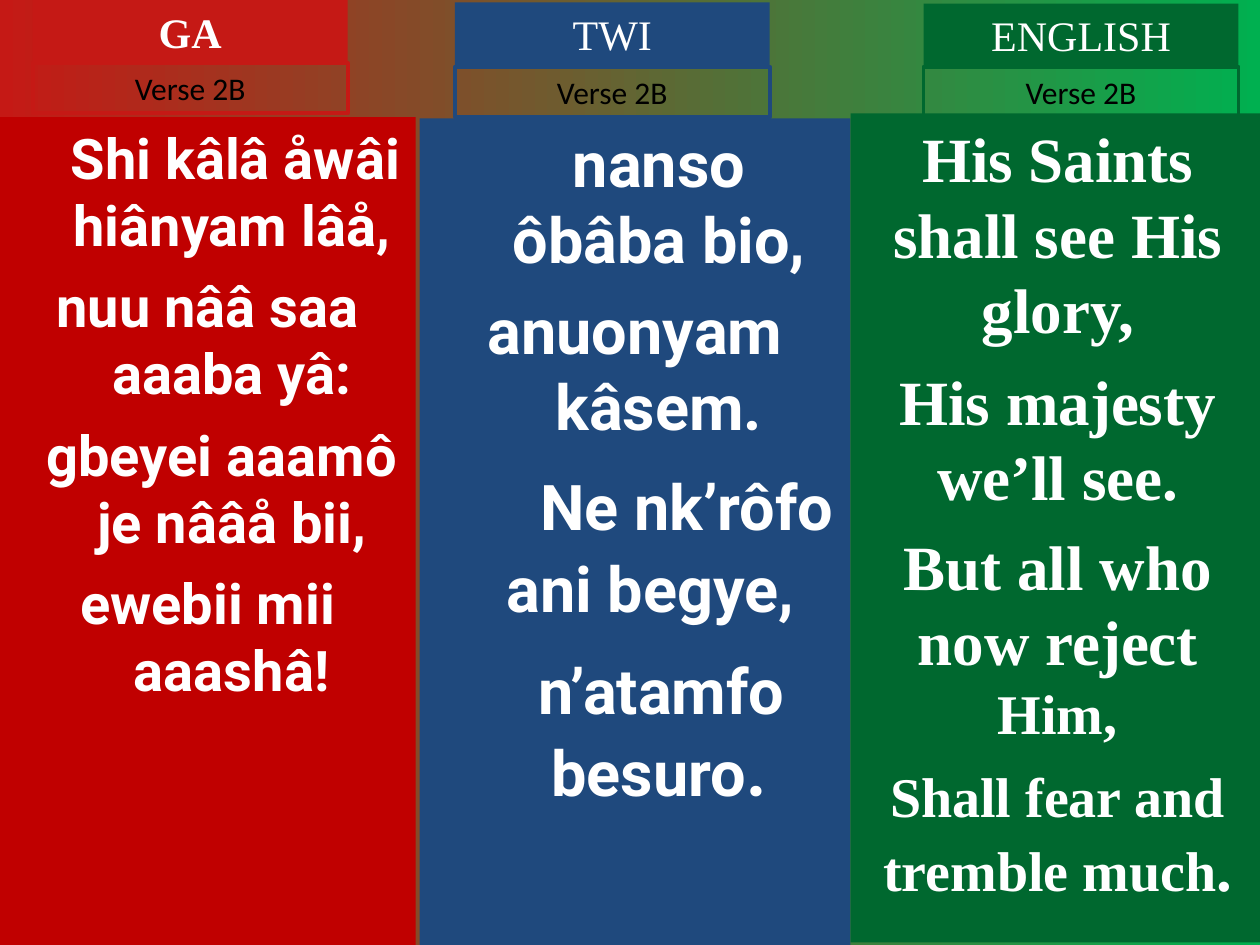
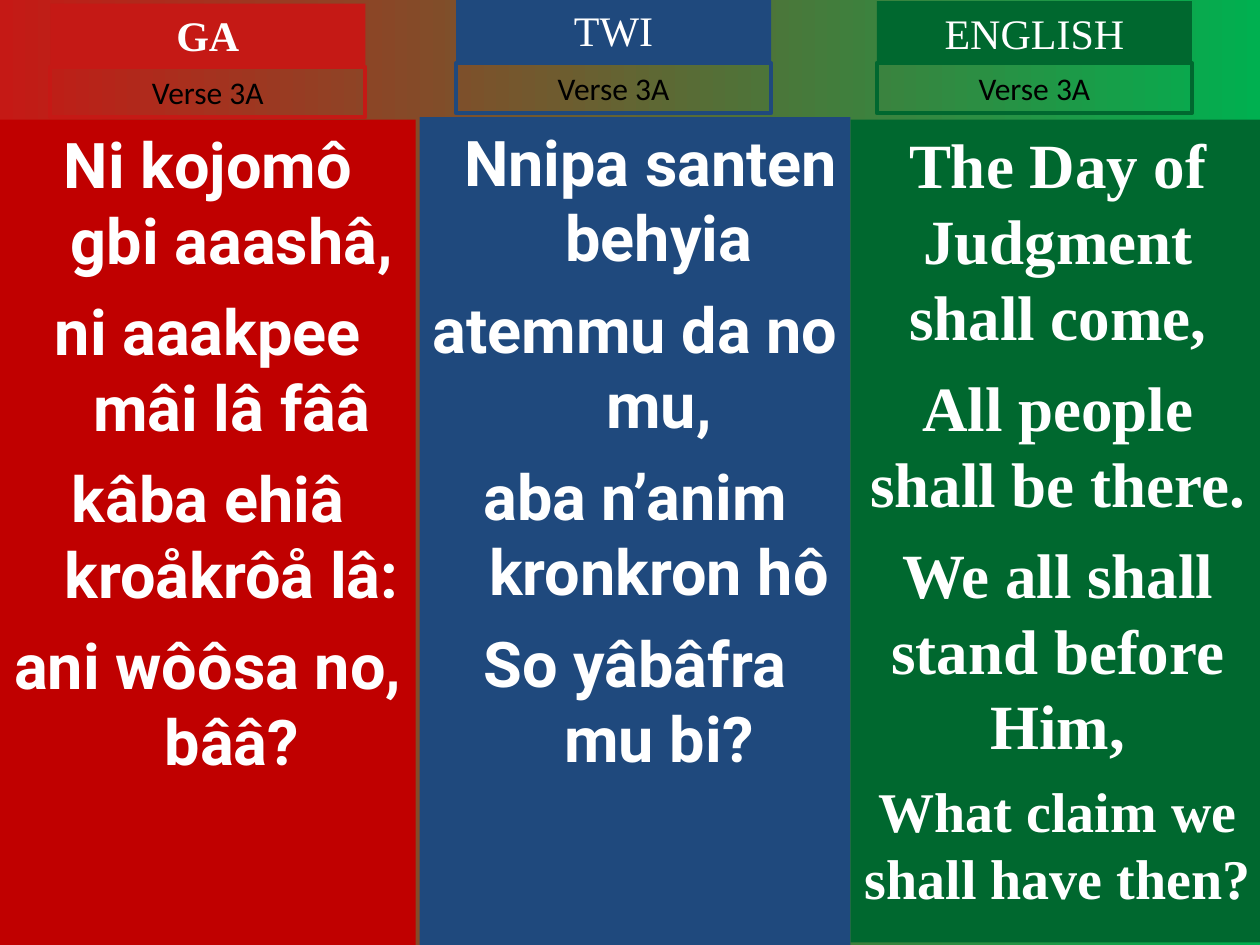
from pptx import Presentation
from pptx.dml.color import RGBColor
from pptx.enum.shapes import MSO_SHAPE
from pptx.enum.text import MSO_ANCHOR, PP_ALIGN
from pptx.util import Inches, Pt

# Shared look
WHITE, BLACK = "FFFFFF", "000000"
SERIF, SANS, LABEL = "Times New Roman", "Roboto", "Calibri"
HANGING = 0.38

# Language, body colour, header colour, left, width, font, margin
COLUMNS = [
    ("GA", "C00000", "C51915", 0, 3.3, SANS, HANGING),
    ("TWI", "1F497D", "1F497D", 3.33, 3.42, SANS, HANGING),
    ("ENGLISH", "00682F", "00682F", 6.75, 3.29, SERIF, 0),
]

# Each verse: name, then per column the header left, header top, label top,
# body top, body height and lines.
# Each line: space before, first-line indent, runs of text and size.
VERSES = [
    ("Verse 2B", [
        (0.26, 0, 0.5, 0.93, 6.57, [
            (0, 0.06, [("Shi kâlâ åwâi hiânyam lâå,", 32)]),
            (8, -HANGING, [("nuu nââ saa aaaba yâ:", 32)]),
            (8, -0.16, [("gbeyei aaamô je nââå bii,", 32)]),
            (8, -HANGING, [("ewebii mii aaashâ!", 32)]),
        ]),
        (3.61, 0.02, 0.53, 0.94, 6.56, [
            (0, 0, [("nanso ôbâba bio,", 36)]),
            (9, -HANGING, [("anuonyam kâsem.", 36)]),
            (14, 0.44, [("Ne nk’rôfo ani begye,", 36), (" ", 40)]),
            (14, 0.04, [("n’atamfo besuro", 36), (".", 40)]),
        ]),
        (7.33, 0.03, 0.53, 0.9, 6.58, [
            (0, 0, [("His Saints shall see His glory,", 36)]),
            (9, 0, [("His majesty we’ll see.", 36)]),
            (8, 0, [("But all who now reject ", 36), ("Him,", 32)]),
            (9, 0, [("Shall fear and tremble much", 32), (".", 36)]),
        ]),
    ]),
    ("Verse 3A", [
        (0.4, 0.03, 0.53, 0.95, 6.55, [
            (0, -HANGING, [("Ni kojomô gbi aaashâ,", 36)]),
            (9, -HANGING, [("ni aaakpee mâi lâ fââ", 36)]),
            (9, -HANGING, [("kâba ehiâ kroåkrôå lâ:", 36)]),
            (9, -HANGING, [("ani wôôsa no, bââ?", 36)]),
        ]),
        (3.62, -0.01, 0.5, 0.93, 6.57, [
            (0, -0.13, [("Nnipa santen behyia", 36)]),
            (9, -HANGING, [("atemmu da no mu,", 36)]),
            (9, -HANGING, [("aba n’anim kronkron hô", 36)]),
            (9, -HANGING, [("So yâbâfra mu bi?", 36)]),
        ]),
        (6.96, 0.01, 0.5, 0.95, 6.53, [
            (0, 0, [("The Day of Judgment shall come,", 36)]),
            (9, 0, [("All people shall be there.", 36)]),
            (9, 0, [("We all shall stand before Him,", 36)]),
            (8, 0, [("What claim we shall have then?", 32)]),
        ]),
    ]),
]


def rgb(value):
    return RGBColor.from_string(value)


def add_panel(slide, place, lines, font, text_color, bold,
              fill=None, outline=None, margin=0):
    """Add a rectangle with centred lines of text."""
    panel = slide.shapes.add_shape(
        MSO_SHAPE.RECTANGLE, *[Inches(length) for length in place])
    panel.shadow.inherit = False
    if fill:
        panel.fill.solid()
        panel.fill.fore_color.rgb = rgb(fill)
    else:
        panel.fill.background()
    if outline:
        panel.line.color.rgb = rgb(outline)
        panel.line.width = Pt(2.25)
    else:
        panel.line.fill.background()

    frame = panel.text_frame
    frame.word_wrap = True
    frame.vertical_anchor = MSO_ANCHOR.TOP
    for number, (before, indent, runs) in enumerate(lines):
        paragraph = frame.add_paragraph() if number else frame.paragraphs[0]
        paragraph.alignment = PP_ALIGN.CENTER
        paragraph.space_before = Pt(before)
        if margin:
            properties = paragraph._p.get_or_add_pPr()
            properties.set("marL", str(Inches(margin)))
            properties.set("indent", str(Inches(indent)))
        for text, size in runs:
            run = paragraph.add_run()
            run.text = text
            run.font.name = font
            run.font.size = Pt(size)
            run.font.bold = bold
            run.font.color.rgb = rgb(text_color)


presentation = Presentation()
presentation.slide_width = Inches(10)
presentation.slide_height = Inches(7.5)

for verse, parts in VERSES:
    slide = presentation.slides.add_slide(presentation.slide_layouts[6])

    # Red to green background
    backdrop = slide.background.fill
    backdrop.gradient()
    backdrop.gradient_angle = 0
    for stop, color in zip(backdrop.gradient_stops, ("C51915", "00B050")):
        stop.color.rgb = rgb(color)

    for column, part in zip(COLUMNS, parts):
        language, body_color, header_color, left, width, font, margin = column
        header_left, header_top, label_top, body_top, body_height, lines = part

        # Lyrics
        add_panel(slide, (left, body_top, width, body_height), lines, font,
                  WHITE, True, fill=body_color, margin=margin)

        # Language header and verse label
        add_panel(slide, (header_left, header_top, 2.5, 0.5),
                  [(0, 0, [(language, 24)])], SERIF, WHITE, language == "GA",
                  fill=header_color)
        add_panel(slide, (header_left, label_top, 2.5, 0.4),
                  [(0, 0, [(verse, 18)])], LABEL, BLACK, False,
                  outline=header_color)

presentation.save("out.pptx")
